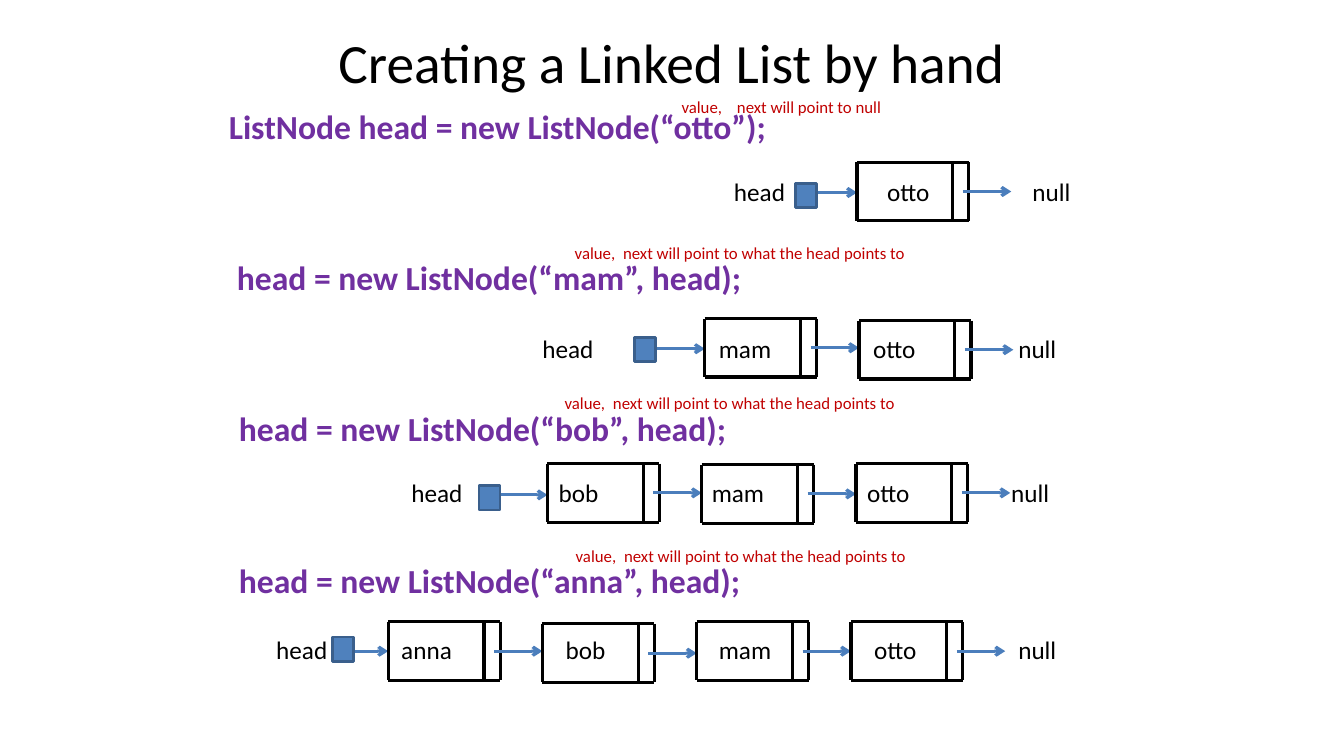
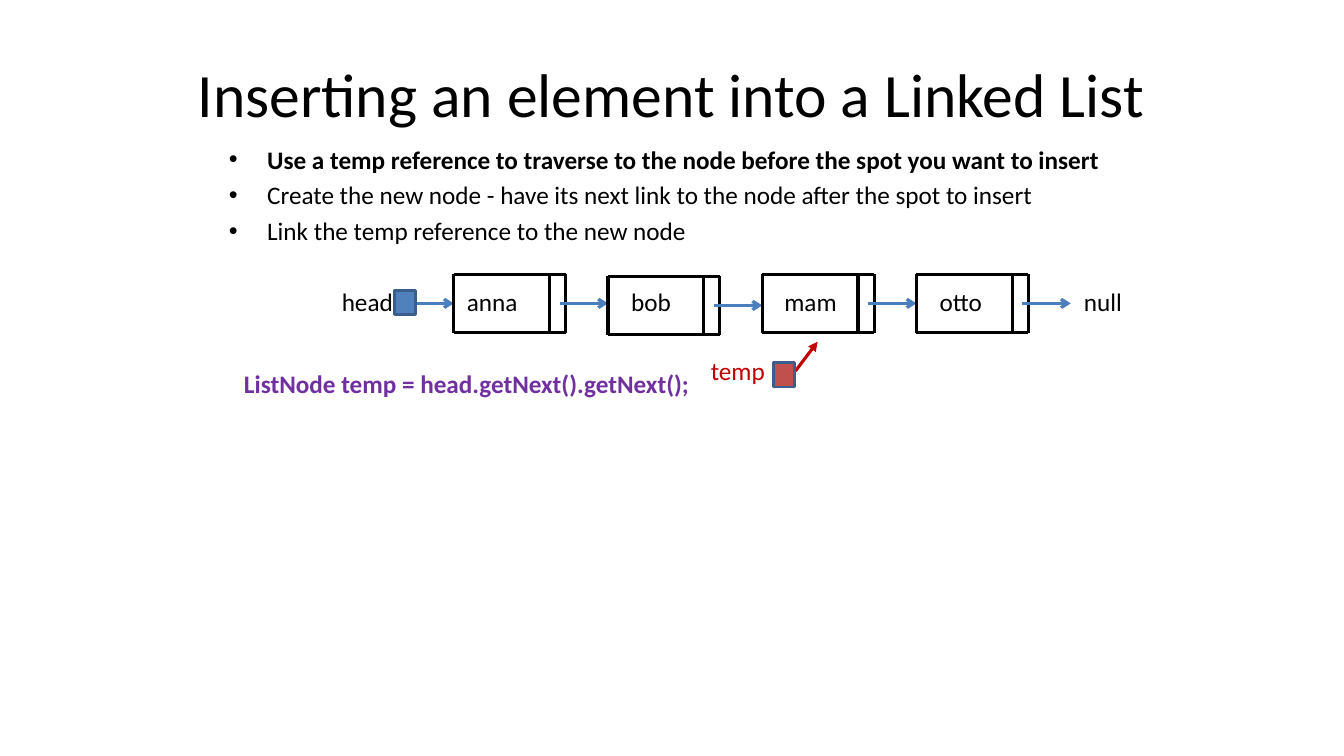
from lxml import etree
from pptx import Presentation
from pptx.dml.color import RGBColor
from pptx.enum.shapes import MSO_CONNECTOR, MSO_SHAPE
from pptx.enum.text import MSO_ANCHOR, PP_ALIGN
from pptx.oxml.ns import qn
from pptx.util import Pt

RECT = MSO_SHAPE.RECTANGLE
LINE = MSO_CONNECTOR.STRAIGHT
TOP, MID = MSO_ANCHOR.TOP, MSO_ANCHOR.MIDDLE
LEFT, MIDST = PP_ALIGN.LEFT, PP_ALIGN.CENTER

UNIT = 9144  # EMU in one px, 100 px to the inch
WIDE, HIGH = 1333, 750
FONT = "Calibri"
HUES = {
    "ink": "000000",
    "code": "7030A0",
    "note": "C00000",
    "arrow": "4B7EBC",
    "head": "4F81BD",
    "temp": "C0504D",
    "edge": "3A5F8C",
}

# Node geometry
CELL_W, CELL_H, SPLIT, PITCH = 111, 58, 95, 153
LINK, REACH = 105, 48
BOX_W, BOX_H = 21, 24

FULL = [("anna", 13, 0), ("bob", 23, 2), ("mam", 22, 0), ("otto", 23, 0)]


def px(*nums):
    return [n * UNIT for n in nums]


def hue(name):
    return RGBColor.from_string(HUES[name])


def text(slide, box, *lines, size=18, color="ink", bold=(), align=LEFT,
         anchor=TOP, bullet=False, gap=0):
    """Place lines of text; bold holds the indexes of the bold lines."""
    frame = slide.shapes.add_textbox(*px(*box)).text_frame
    frame.word_wrap = True
    frame.vertical_anchor = anchor
    frame.margin_left = frame.margin_right = 0
    frame.margin_top = frame.margin_bottom = 0
    for i, words in enumerate(lines):
        para = frame.paragraphs[0] if i == 0 else frame.add_paragraph()
        para.alignment = align
        para.space_before = Pt(gap if i else 0)
        run = para.add_run()
        run.text = words
        font = run.font
        font.name, font.size, font.bold = FONT, Pt(size), i in bold
        font.color.rgb = hue(color)
        if bullet:
            props = para._p.get_or_add_pPr()
            props.set("marL", str(38 * UNIT))
            props.set("indent", str(-38 * UNIT))
            etree.SubElement(props, qn("a:buFont")).set("typeface", "Arial")
            etree.SubElement(props, qn("a:buChar")).set("char", "•")


def line(slide, start, end, color="ink", tip=None):
    rule = slide.shapes.add_connector(LINE, *px(*start, *end))
    rule.line.color.rgb = hue(color)
    rule.line.width = Pt(2.25)
    if tip:
        stroke = rule.line._get_or_add_ln()
        etree.SubElement(stroke, qn("a:tailEnd")).set("type", tip)
    etree.SubElement(rule._element.spPr, qn("a:effectLst"))


def square(slide, x, y, fill):
    shape = slide.shapes.add_shape(RECT, *px(x, y, BOX_W, BOX_H))
    shape.shadow.inherit = False
    shape.fill.solid()
    shape.fill.fore_color.rgb = hue(fill)
    shape.line.color.rgb = hue("edge")
    shape.line.width = Pt(2)


def title(slide, box, words, size):
    text(slide, box, words, size=size, align=MIDST, anchor=MID)


def code(slide, x, y, words, size):
    text(slide, (x, y, 700, 40), words, size=size, color="code", bold=(0,))


def note(slide, x, y, gap, words):
    """Caption above the two arguments of a call."""
    for left, part in ((x, "value,"), (x + gap, words)):
        text(slide, (left, y, 350, 20), part, size=12, color="note")


def node(slide, x, y):
    for side in (0, CELL_H):
        line(slide, (x, y + side), (x + CELL_W, y + side))
    for side in (0, SPLIT, CELL_W):
        line(slide, (x + side, y), (x + side, y + CELL_H))
    mid = y + CELL_H // 2
    line(slide, (x + LINK, mid), (x + LINK + REACH, mid), "arrow", "arrow")


def chain(slide, x, y, nodes, head, box, null, base=14, aim=30):
    """Linked list; x, y is the corner of its first node."""
    def label(left, word):
        text(slide, (x + left, y + base, 80, 30), word)

    # Head reference
    label(head, "head")
    line(slide, (x - REACH, y + aim), (x, y + aim), "arrow", "arrow")
    square(slide, x + box[0], y + box[1], "head")
    # Nodes, each with its label inset and drop
    for i, (word, inset, drop) in enumerate(nodes):
        node(slide, x + i * PITCH, y + drop)
        label(i * PITCH + inset, word)
    label(null, "null")


def full(slide, x, y, box):
    chain(slide, x, y, FULL, -111, box, 625, base=12, aim=29)


def create(slide):
    title(slide, (216, 30, 900, 62), "Creating a Linked List by hand", 39.6)
    # Calls
    calls = [
        (227, "ListNode head = new ListNode(“otto”);"),
        (235, "head = new ListNode(“mam”, head);"),
        (237, "head = new ListNode(“bob”, head);"),
        (237, "head = new ListNode(“anna”, head);"),
    ]
    for i, (x, words) in enumerate(calls):
        code(slide, x, 105 + 150 * i, words, 24)
    # Lists after each call
    chain(slide, 850, 161, [("otto", 30, 0)], -122, (-61, 21), 174)
    chain(slide, 699, 316, [("mam", 14, 0), ("otto", 14, 2)],
          -161, (-70, 19), 311, base=15)
    chain(slide, 543, 460, [("bob", 11, 0), ("mam", 10, 1), ("otto", 11, 0)],
          -135, (-68, 22), 460, aim=31)
    full(slide, 385, 617, (-55, 15))
    # Captions
    note(slide, 676, 96, 55, "next will point to null")
    for x, y in ((570, 241), (560, 390), (571, 541)):
        note(slide, x, y, 48, "next will point to what the head points to")


def insert(slide):
    title(slide, (66, 30, 1200, 125),
          "Inserting an element into a Linked List", 44)
    # Steps
    text(slide, (227, 143, 880, 123),
         "Use a temp reference to traverse to the node before the spot "
         "you want to insert",
         "Create the new node - have its next link to the node after "
         "the spot to insert",
         "Link the temp reference to the new node",
         bold=(0,), bullet=True, gap=3.8)
    full(slide, 450, 272, (-59, 16))
    # Temp reference
    code(slide, 242, 365, "ListNode temp = head.getNext().getNext();", 18)
    text(slide, (705, 353, 60, 30), "temp", color="note")
    line(slide, (789, 368), (811, 339), "note", "triangle")
    square(slide, 767, 360, "temp")


def main():
    deck = Presentation()
    deck.slide_width, deck.slide_height = px(WIDE, HIGH)
    for build in (create, insert):
        build(deck.slides.add_slide(deck.slide_layouts[6]))
    deck.save("out.pptx")


if __name__ == "__main__":
    main()
